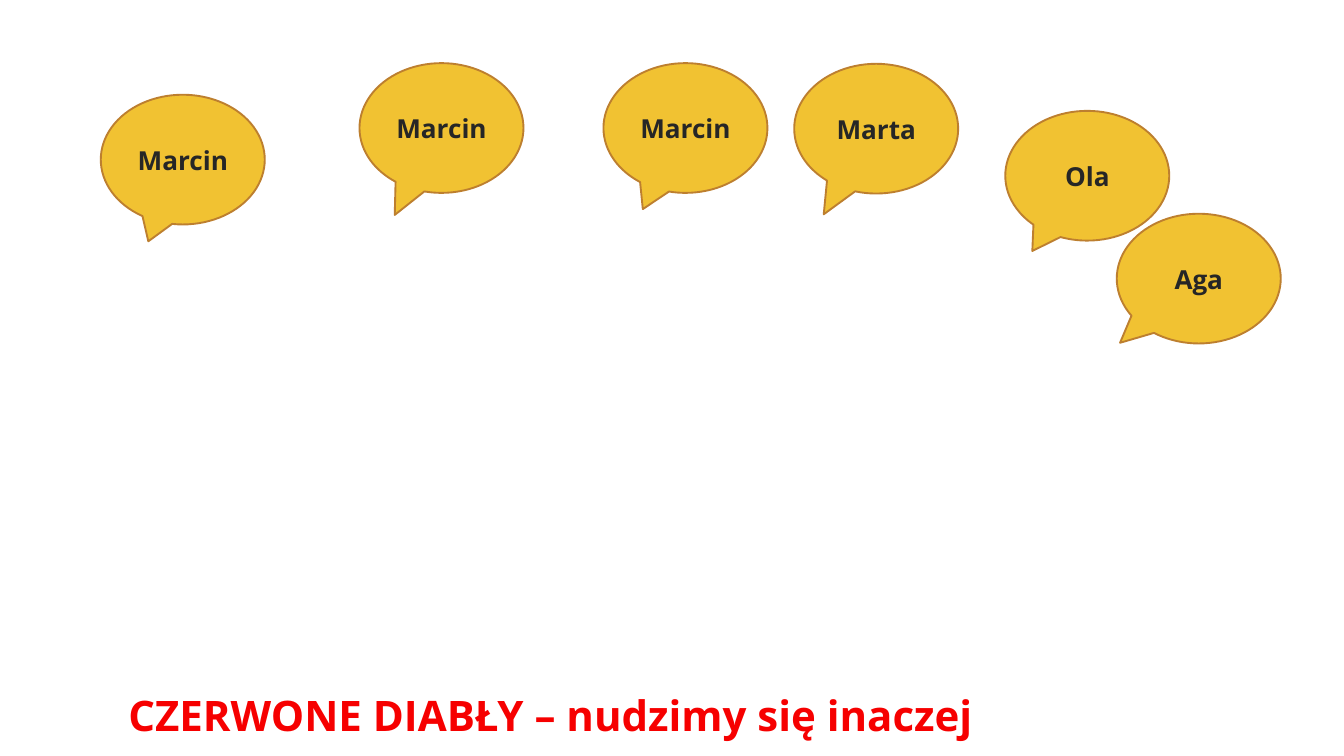
import pptx
import pptx.dml.color
import pptx.enum.shapes
import pptx.enum.text
import pptx.util

Pt = pptx.util.Pt
FONT = "Open Sans"
TITLE_ONLY = 5
BUBBLE_WIDTH, BUBBLE_HEIGHT = 175.7, 139

# name, left, top, tail tip relative to the bubble's centre
BUBBLES = [
    ("Marcin", 108, 101.5, (-0.21, 0.63)),
    ("Marcin", 385.2, 67.7, (-0.285, 0.67)),
    ("Marcin", 646.6, 67.7, (-0.26, 0.625)),
    ("Marta", 851, 68.4, (-0.32, 0.66)),
    ("Ola", 1077.1, 118.8, (-0.335, 0.58)),
    ("Aga", 1196.6, 229, (-0.48, 0.495)),
]


def color(hex_string):
    return pptx.dml.color.RGBColor.from_string(hex_string)


def write_text(shape, text, size, hex_string, alignment, anchor):
    frame = shape.text_frame
    frame.text = text
    frame.word_wrap = True
    frame.vertical_anchor = anchor
    para = frame.paragraphs[0]
    para.alignment = alignment
    font = para.runs[0].font
    font.name = FONT
    font.size = Pt(size)
    font.bold = True
    font.color.rgb = color(hex_string)


def add_bubble(slide, name, left, top, tail):
    bubble = slide.shapes.add_shape(
        pptx.enum.shapes.MSO_SHAPE.OVAL_CALLOUT,
        Pt(left), Pt(top), Pt(BUBBLE_WIDTH), Pt(BUBBLE_HEIGHT))
    bubble.adjustments[0], bubble.adjustments[1] = tail
    bubble.shadow.inherit = False
    bubble.fill.solid()
    bubble.fill.fore_color.rgb = color("F1C232")
    bubble.line.color.rgb = color("BD7F2F")
    bubble.line.width = Pt(2)
    write_text(bubble, name, 28, "262626", pptx.enum.text.PP_ALIGN.CENTER,
               pptx.enum.text.MSO_ANCHOR.MIDDLE)


def set_title(slide, text):
    title = slide.shapes.title
    title.left, title.top = Pt(130.3), Pt(735.1)
    title.width, title.height = Pt(1082.9), Pt(61.9)
    write_text(title, text, 45, "F60000", pptx.enum.text.PP_ALIGN.LEFT,
               pptx.enum.text.MSO_ANCHOR.TOP)
    title.text_frame.auto_size = pptx.enum.text.MSO_AUTO_SIZE.SHAPE_TO_FIT_TEXT


def main():
    deck = pptx.Presentation()
    deck.slide_width, deck.slide_height = Pt(1440), Pt(810)
    slide = deck.slides.add_slide(deck.slide_layouts[TITLE_ONLY])
    for bubble in BUBBLES:
        add_bubble(slide, *bubble)
    set_title(slide, "CZERWONE DIABŁY – nudzimy się inaczej")
    deck.save("out.pptx")


if __name__ == "__main__":
    main()
